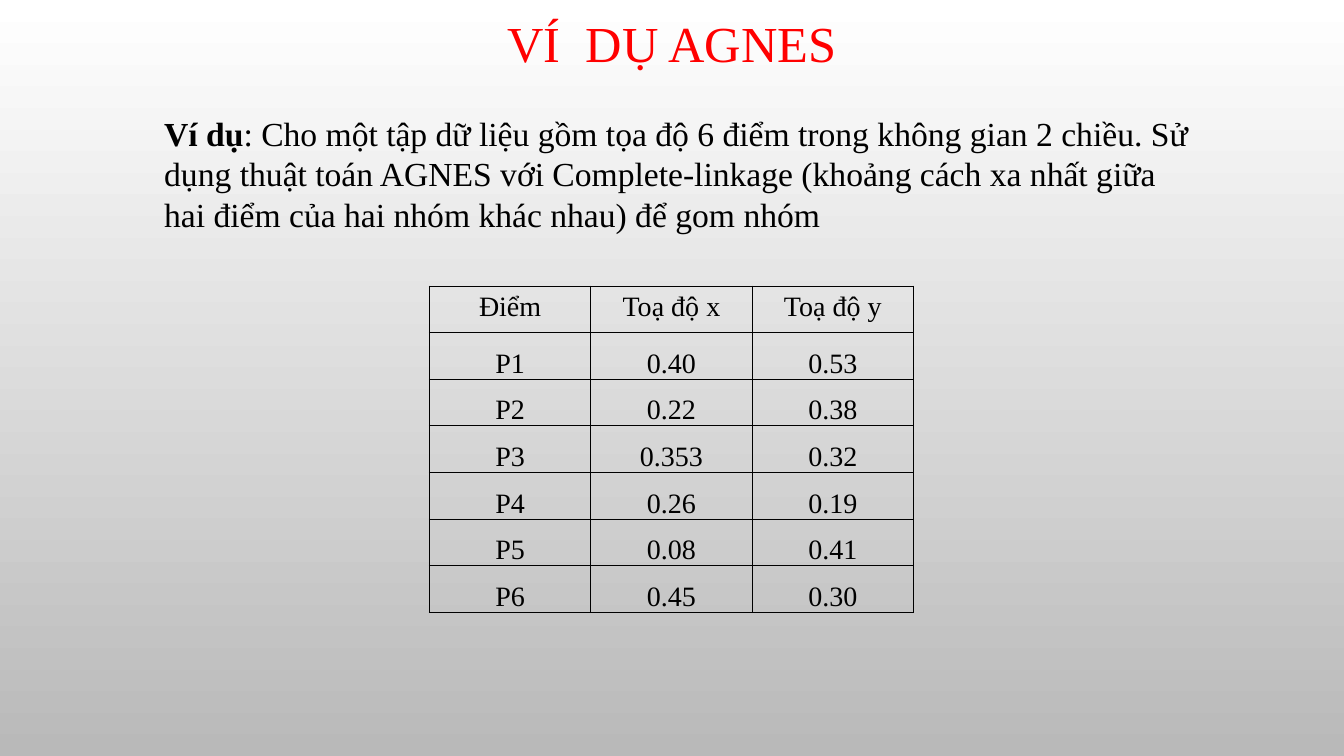
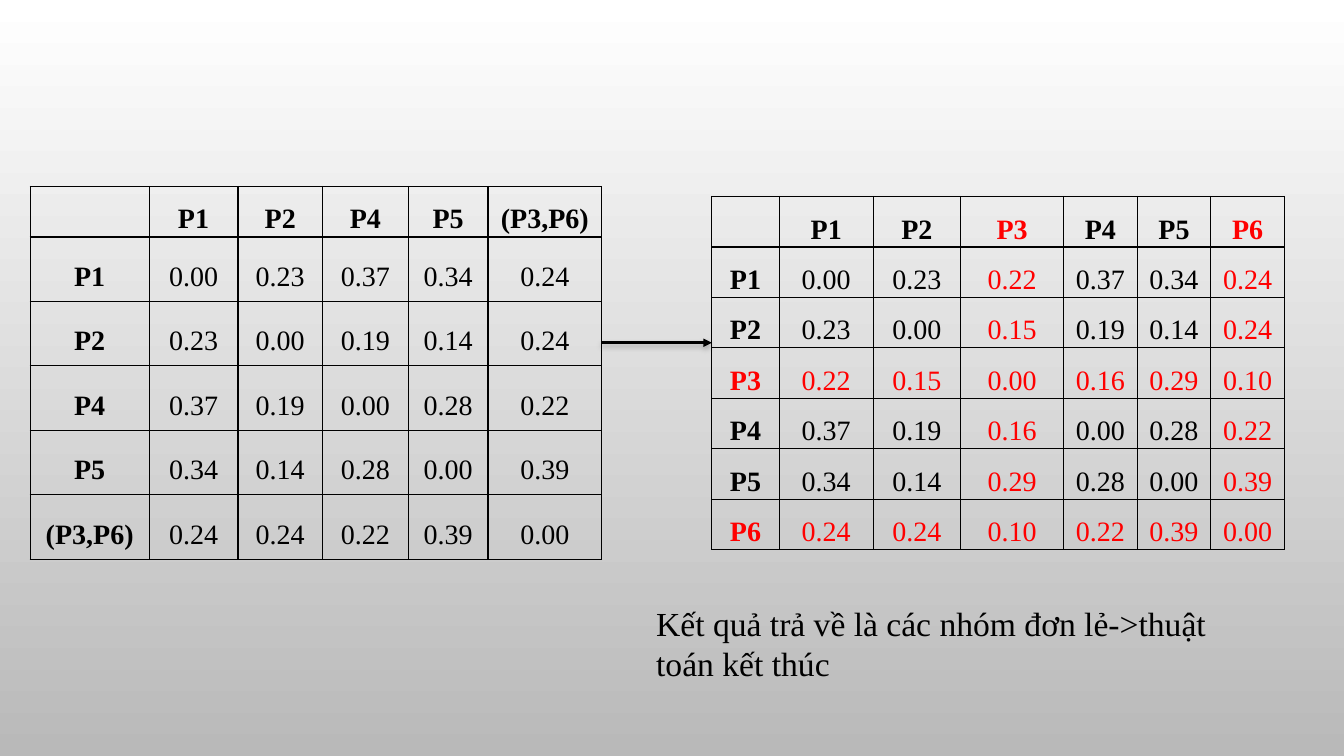
from dataclasses import dataclass

from lxml import etree
from pptx import Presentation
from pptx.dml.color import RGBColor
from pptx.enum.shapes import MSO_CONNECTOR
from pptx.enum.text import MSO_ANCHOR, MSO_AUTO_SIZE, PP_ALIGN
from pptx.oxml import parse_xml
from pptx.oxml.ns import nsdecls, qn
from pptx.presentation import Presentation as Deck
from pptx.slide import Slide
from pptx.util import Inches, Pt

BLACK = RGBColor(0x00, 0x00, 0x00)
RED = RGBColor(0xFF, 0x00, 0x00)
WHITE = RGBColor(0xFF, 0xFF, 0xFF)
GREY = RGBColor(0xB9, 0xB9, 0xB9)
FONT = "Times New Roman"
CENTER = PP_ALIGN.CENTER
TOP, MIDDLE = MSO_ANCHOR.TOP, MSO_ANCHOR.MIDDLE
GROW, FIXED = MSO_AUTO_SIZE.SHAPE_TO_FIT_TEXT, MSO_AUTO_SIZE.NONE
STRAIGHT = MSO_CONNECTOR.STRAIGHT

TITLE_STYLE = {"size": Pt(36), "bold": False}
BODY_STYLE = {"size": Pt(24), "bold": False}
LEAD_STYLE = {"size": Pt(24), "bold": True}
CELL_STYLE = {"size": Pt(20), "bold": False}
LABEL_STYLE = {"size": Pt(20), "bold": True}
TIGHT_MARGINS = {
    "margin_left": Inches(0.07),
    "margin_right": Inches(0.07),
    "margin_top": 0,
    "margin_bottom": 0,
}
PLAIN_TABLE = {"first_row": False, "horz_banding": False}

POINTS = [
    ["Điểm", "Toạ độ x", "Toạ độ y"],
    ["P1", "0.40", "0.53"],
    ["P2", "0.22", "0.38"],
    ["P3", "0.353", "0.32"],
    ["P4", "0.26", "0.19"],
    ["P5", "0.08", "0.41"],
    ["P6", "0.45", "0.30"],
]
DISTANCES = [
    [0.00, 0.23, 0.22, 0.37, 0.34, 0.24],
    [0.23, 0.00, 0.15, 0.19, 0.14, 0.24],
    [0.22, 0.15, 0.00, 0.16, 0.29, 0.10],
    [0.37, 0.19, 0.16, 0.00, 0.28, 0.22],
    [0.34, 0.14, 0.29, 0.28, 0.00, 0.39],
    [0.24, 0.24, 0.10, 0.22, 0.39, 0.00],
]
SINGLE_GROUPS = [(1,), (2,), (3,), (4,), (5,), (6,)]
MERGED_GROUPS = [(1,), (2,), (4,), (5,), (3, 6)]


@dataclass
class Span:
    text: str
    style: dict
    color: RGBColor = BLACK


@dataclass
class TextArea:
    left: float
    top: float
    width: float
    height: float
    spans: list[Span]


@dataclass
class Grid:
    left: float
    top: float
    columns: list[float]
    rows: list[float]
    texts: list[list[str]]
    anchor: MSO_ANCHOR = MIDDLE
    row_labels: bool = True
    red_lines: tuple[int, ...] = ()


def apply(target: object, values: dict) -> None:
    for attribute, value in values.items():
        setattr(target, attribute, value)


def add_span(paragraph, span: Span) -> None:
    run = paragraph.add_run()
    run.text = span.text
    apply(run.font, {"name": FONT, **span.style})
    run.font.color.rgb = span.color


def add_text(slide: Slide, area: TextArea, frame_format: dict, paragraph_format: dict) -> None:
    box = slide.shapes.add_textbox(
        Inches(area.left), Inches(area.top), Inches(area.width), Inches(area.height)
    )
    apply(box.text_frame, {"word_wrap": True, **frame_format})
    paragraph = box.text_frame.paragraphs[0]
    apply(paragraph, paragraph_format)
    for span in area.spans:
        add_span(paragraph, span)


def add_borders(cell) -> None:
    properties = cell._tc.get_or_add_tcPr()
    for side in ("lnL", "lnR", "lnT", "lnB"):
        properties.append(parse_xml(
            f'<a:{side} {nsdecls("a")} w="{Pt(1)}"><a:solidFill>'
            f'<a:srgbClr val="{BLACK}"/></a:solidFill></a:{side}>'
        ))


def add_grid(slide: Slide, grid: Grid) -> None:
    table = slide.shapes.add_table(
        len(grid.rows), len(grid.columns), Inches(grid.left), Inches(grid.top),
        Inches(sum(grid.columns)), Inches(sum(grid.rows)),
    ).table
    apply(table, PLAIN_TABLE)
    for column, width in zip(table.columns, grid.columns):
        column.width = Inches(width)
    for row, height in zip(table.rows, grid.rows):
        row.height = Inches(height)
    for i, line in enumerate(grid.texts):
        for j, text in enumerate(line):
            cell = table.cell(i, j)
            add_borders(cell)
            cell.fill.background()
            if not text:
                continue
            paragraph = cell.text_frame.paragraphs[0]
            paragraph.alignment = CENTER
            cell.vertical_anchor = grid.anchor
            if grid.row_labels or i > 0:
                apply(cell, TIGHT_MARGINS)
                paragraph.line_spacing = 1.5
            is_label = grid.row_labels and 0 in (i, j)
            is_red = i in grid.red_lines or j in grid.red_lines
            add_span(paragraph, Span(
                text, LABEL_STYLE if is_label else CELL_STYLE, RED if is_red else BLACK
            ))


def group_label(group: tuple[int, ...]) -> str:
    names = ",".join(f"P{point}" for point in group)
    return f"({names})" if len(group) > 1 else names


def complete_linkage(first: tuple[int, ...], second: tuple[int, ...]) -> float:
    if first == second:
        return 0.0
    return max(DISTANCES[a - 1][b - 1] for a in first for b in second)


def distance_texts(groups: list[tuple[int, ...]]) -> list[list[str]]:
    header = [""] + [group_label(group) for group in groups]
    return [header] + [
        [group_label(row)] + [f"{complete_linkage(row, column):.2f}" for column in groups]
        for row in groups
    ]


def add_arrow(slide: Slide, start: float, end: float, y: float) -> None:
    arrow = slide.shapes.add_connector(
        STRAIGHT, Inches(start), Inches(y), Inches(end), Inches(y)
    )
    arrow.line.color.rgb = BLACK
    arrow.line.width = Pt(1.75)
    etree.SubElement(arrow.line._get_or_add_ln(), qn("a:tailEnd"), type="triangle")
    arrow._element.spPr.append(parse_xml(
        f'<a:effectLst {nsdecls("a")}><a:outerShdw blurRad="{Pt(4)}" dist="{Pt(2)}" '
        f'dir="5400000" rotWithShape="0"><a:srgbClr val="{BLACK}">'
        '<a:alpha val="28000"/></a:srgbClr></a:outerShdw></a:effectLst>'
    ))


def set_background(deck: Deck) -> None:
    fill = deck.slide_master.background.fill
    fill.gradient()
    fill.gradient_angle = 270
    for stop, color in zip(fill.gradient_stops, (WHITE, GREY)):
        stop.color.rgb = color


def build_example(slide: Slide) -> None:
    add_text(
        slide,
        TextArea(1, 0, 11.33, 0.92, [Span("VÍ  DỤ AGNES", TITLE_STYLE, RED)]),
        {"auto_size": FIXED, "vertical_anchor": MIDDLE},
        {"alignment": CENTER, "line_spacing": 0.9},
    )
    add_grid(slide, Grid(
        4.26, 2.84, [1.6] * 3, [0.46] * 7, POINTS, anchor=TOP, row_labels=False
    ))
    add_text(
        slide,
        TextArea(1.53, 1.07, 10.49, 1.31, [
            Span("Ví dụ", LEAD_STYLE),
            Span(
                ": Cho một tập dữ liệu gồm tọa độ 6 điểm trong không gian 2 chiều. "
                "Sử dụng thuật toán AGNES với Complete-linkage (khoảng cách xa nhất "
                "giữa hai điểm của hai nhóm khác nhau) để gom nhóm",
                BODY_STYLE,
            ),
        ]),
        {"auto_size": GROW}, {},
    )


def build_result(slide: Slide) -> None:
    add_arrow(slide, 5.96, 7.06, 3.4)
    add_grid(slide, Grid(
        0.3, 1.85, [1.18, 0.88, 0.84, 0.85, 0.79, 1.13], [0.3] + [0.64] * 5,
        distance_texts(MERGED_GROUPS),
    ))
    add_grid(slide, Grid(
        7.06, 1.95, [0.67, 0.93, 0.87, 1.02, 0.73, 0.73, 0.73], [0.47] * 7,
        distance_texts(SINGLE_GROUPS), red_lines=(3, 6),
    ))
    add_text(
        slide,
        TextArea(6.41, 5.93, 6.17, 0.91, [
            Span("Kết quả trả về là các nhóm đơn lẻ->thuật toán kết thúc", BODY_STYLE),
        ]),
        {"auto_size": GROW}, {},
    )


def main() -> None:
    deck = Presentation()
    deck.slide_width, deck.slide_height = Inches(13.33), Inches(7.5)
    set_background(deck)
    blank = deck.slide_layouts[6]
    for build in (build_example, build_result):
        build(deck.slides.add_slide(blank))
    deck.save("out.pptx")


if __name__ == "__main__":
    main()
